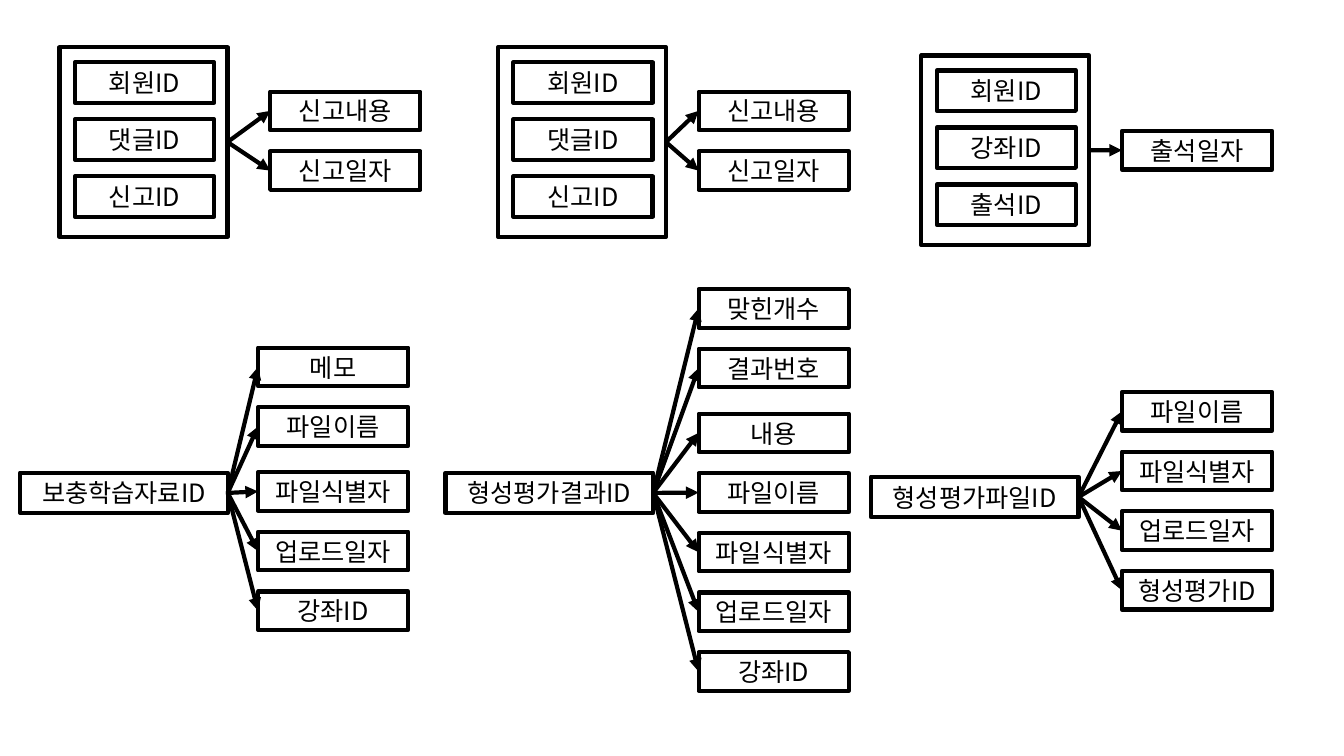
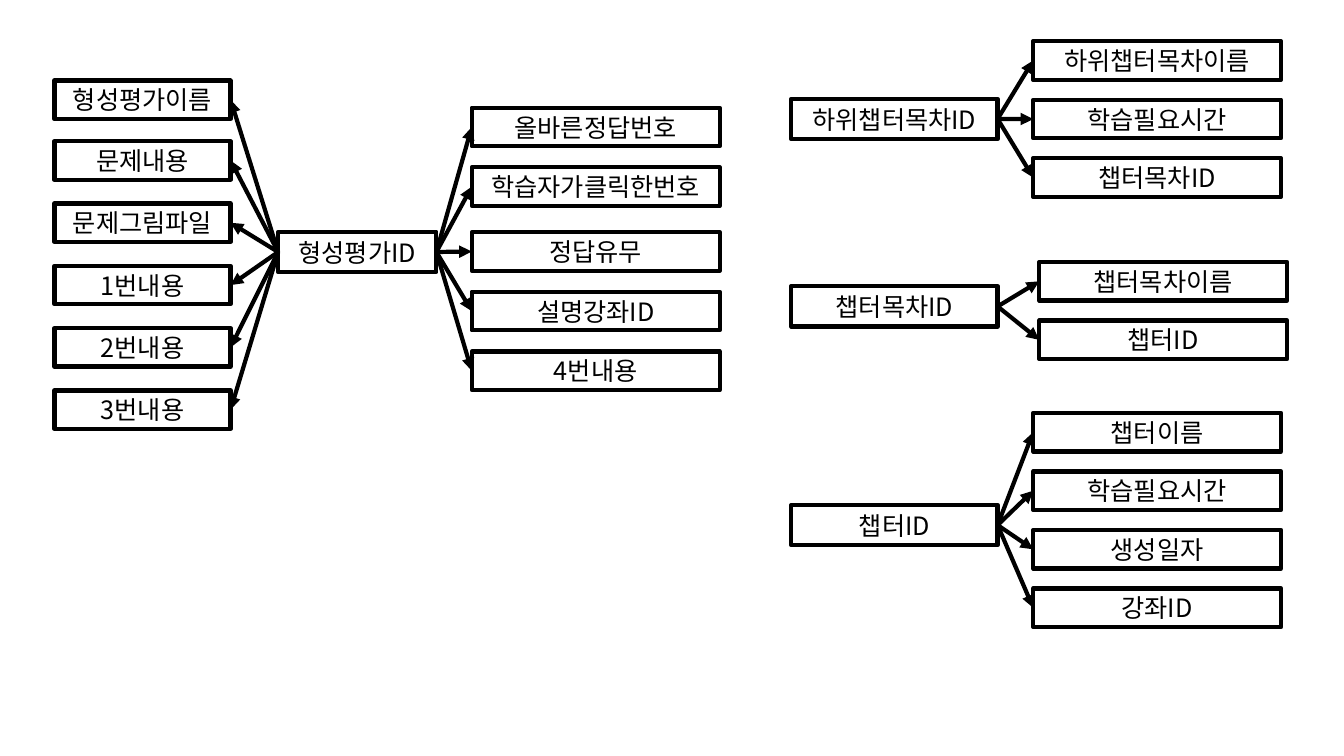
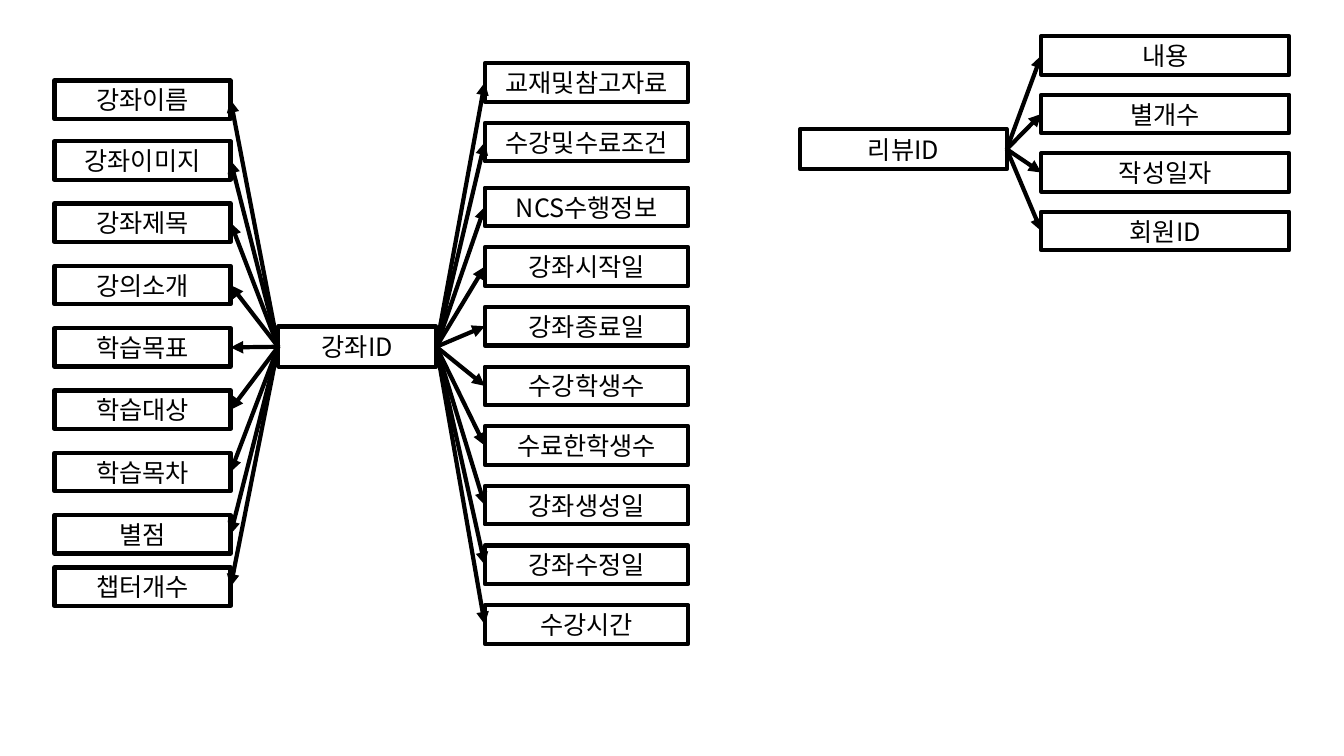
from dataclasses import dataclass

from lxml import etree
from pptx import Presentation
from pptx import util as u
from pptx.dml.color import RGBColor
from pptx.enum import shapes, text
from pptx.oxml import ns


@dataclass(frozen=True)
class Theme:
    ink: RGBColor = RGBColor(0, 0, 0)
    paper: RGBColor = RGBColor(255, 255, 255)
    font: str = "Noto Sans CJK KR"
    text_size: float = 18
    stroke: float = 3
    key_height: float = 28.8
    attribute_height: float = 27.5


THEME = Theme()
LEFT_SITE, RIGHT_SITE = 1, 3

# Vertical steps between attributes, and extra space before some of them
STEP, TIGHT_STEP, SIDE_STEP = 42.6, 41.8, 44.5
THIRD_LOWER = {2: 3.7}
SECOND_HIGHER = {1: -1.2}


def apply(target, **values):
    for name, value in values.items():
        setattr(target, name, value)


def add_box(group, left, top, width, height, label=""):
    box = group.shapes.add_shape(
        shapes.MSO_SHAPE.RECTANGLE, *map(u.Pt, (left, top, width, height)))
    box.shadow.inherit = False
    box.fill.solid()
    box.fill.fore_color.rgb = THEME.paper
    box.line.color.rgb = THEME.ink
    box.line.width = u.Pt(THEME.stroke)
    if label:
        write_label(box, label)
    return box


def write_label(box, label):
    apply(box.text_frame, word_wrap=True,
          vertical_anchor=text.MSO_ANCHOR.MIDDLE)
    paragraph = box.text_frame.paragraphs[0]
    paragraph.alignment = text.PP_ALIGN.CENTER
    run = paragraph.add_run()
    run.text = label
    run.font.color.rgb = THEME.ink
    apply(run.font, size=u.Pt(THEME.text_size), name=THEME.font)
    east_asian = etree.SubElement(run.font._element, ns.qn("a:ea"))
    east_asian.set("typeface", THEME.font)


def add_key(group, label, left, top, width):
    return add_box(group, left, top, width, THEME.key_height, label)


def add_composite_key(group, labels, left, top):
    """Frame that holds the parts of a key one below another."""
    frame = add_box(group, left, top, 120, 135.4)
    for row, label in enumerate(labels):
        add_key(group, label, left + 11, top + 10.8 + row * 40.7, 99.4)
    return frame


def add_arrow(group, key, attribute, sites):
    arrow = group.shapes.add_connector(
        shapes.MSO_CONNECTOR.STRAIGHT, key.left, key.top,
        attribute.left, attribute.top)
    arrow.begin_connect(key, sites[0])
    arrow.end_connect(attribute, sites[1])
    arrow.line.color.rgb = THEME.ink
    arrow.line.width = u.Pt(THEME.stroke)
    etree.SubElement(arrow.line._get_or_add_ln(), ns.qn("a:tailEnd"),
                     type="triangle")
    etree.SubElement(arrow._element.spPr, ns.qn("a:effectLst"))


def add_attributes(group, key, labels, left, top, width, step=STEP,
                   extra=None):
    """Column of attributes, each with an arrow from the key."""
    column = []
    for row, label in enumerate(labels):
        top += (extra or {}).get(row, 0)
        column.append(add_box(group, left, top + row * step, width,
                              THEME.attribute_height, label))
    on_right = column[0].left > key.left
    sites = (RIGHT_SITE, LEFT_SITE) if on_right else (LEFT_SITE, RIGHT_SITE)
    for attribute in column:
        add_arrow(group, key, attribute, sites)


def build_reports_and_files(slide):
    width = 107.3
    report = ["신고내용", "신고일자"]
    report_key = ["회원ID", "댓글ID", "신고ID"]
    composites = [
        (report_key, 42.5, 33.8, report, 193, 65.5),
        (report_key, 355.7, 33.8, report, 499, 65.5),
        (["회원ID", "강좌ID", "출석ID"], 658.1, 39.6, ["출석일자"], 801.4, 93.6),
    ]
    for parts, left, top, labels, column_left, column_top in composites:
        group = slide.shapes.add_group_shape()
        key = add_composite_key(group, parts, left, top)
        add_attributes(group, key, labels, column_left, column_top, width)

    files = [
        ("보충학습자료ID", 14.4, 337.7,
         ["메모", "파일이름", "파일식별자", "업로드일자", "강좌ID"],
         184.3, 248.4, THIRD_LOWER),
        ("형성평가결과ID", 318.2, 337.7,
         ["맞힌개수", "결과번호", "내용", "파일이름", "파일식별자", "업로드일자",
          "강좌ID"],
         499, 206.6, THIRD_LOWER),
        ("형성평가파일ID", 622.1, 340.6,
         ["파일이름", "파일식별자", "업로드일자", "형성평가ID"],
         801.4, 280.1, None),
    ]
    for name, left, top, labels, column_left, column_top, extra in files:
        group = slide.shapes.add_group_shape()
        key = add_key(group, name, left, top, 148.3)
        add_attributes(group, key, labels, column_left, column_top, width,
                       extra=extra)


def add_two_sided(slide, name, top, left_labels, left_extra,
                  right_labels, right_box):
    """Key with one column of attributes on each side."""
    group = slide.shapes.add_group_shape()
    key = add_key(group, name, 198.7, top, 113)
    add_attributes(group, key, right_labels, *right_box, extra=THIRD_LOWER)
    add_attributes(group, key, left_labels, 38.9, 57.6, 125.8,
                   SIDE_STEP, left_extra)


def add_wide(slide, name, left, top, labels, column_left, column_top):
    """Key with a tight column of wide attributes on its right."""
    group = slide.shapes.add_group_shape()
    key = add_key(group, name, left, top, 147.4)
    add_attributes(group, key, labels, column_left, column_top, 177.1,
                   TIGHT_STEP)


def build_quizzes_and_chapters(slide):
    add_two_sided(
        slide, "형성평가ID", 165.6,
        ["형성평가이름", "문제내용", "문제그림파일", "1번내용", "2번내용", "3번내용"],
        SECOND_HIGHER,
        ["올바른정답번호", "학습자가클릭한번호", "정답유무", "설명강좌ID", "4번내용"],
        (337, 77, 177.1))
    add_wide(slide, "하위챕터목차ID", 565.2, 70.6,
             ["하위챕터목차이름", "학습필요시간", "챕터목차ID"], 738, 29.5)
    add_wide(slide, "챕터목차ID", 565.2, 204.5,
             ["챕터목차이름", "챕터ID"], 742.3, 187.2)
    add_wide(slide, "챕터ID", 565.2, 360.7,
             ["챕터이름", "학습필요시간", "생성일자", "강좌ID"], 738, 295)


def build_courses_and_reviews(slide):
    add_wide(slide, "리뷰ID", 571.7, 92.2,
             ["내용", "별개수", "작성일자", "회원ID"], 743.8, 25.9)
    add_two_sided(
        slide, "강좌ID", 233.3,
        ["강좌이름", "강좌이미지", "강좌제목", "강의소개", "학습목표", "학습대상",
         "학습목차", "별점", "챕터개수"],
        SECOND_HIGHER | {8: -7},
        ["교재및참고자료", "수강및수료조건", "NCS수행정보", "강좌시작일", "강좌종료일",
         "수강학생수", "수료한학생수", "강좌생성일", "강좌수정일", "수강시간"],
        (346.3, 45.2, 145.4))


def main():
    deck = Presentation()
    apply(deck, slide_width=u.Pt(960), slide_height=u.Pt(540))
    blank = deck.slide_layouts[6]
    for build in (build_reports_and_files, build_quizzes_and_chapters,
                  build_courses_and_reviews):
        build(deck.slides.add_slide(blank))
    deck.save("out.pptx")


if __name__ == "__main__":
    main()
